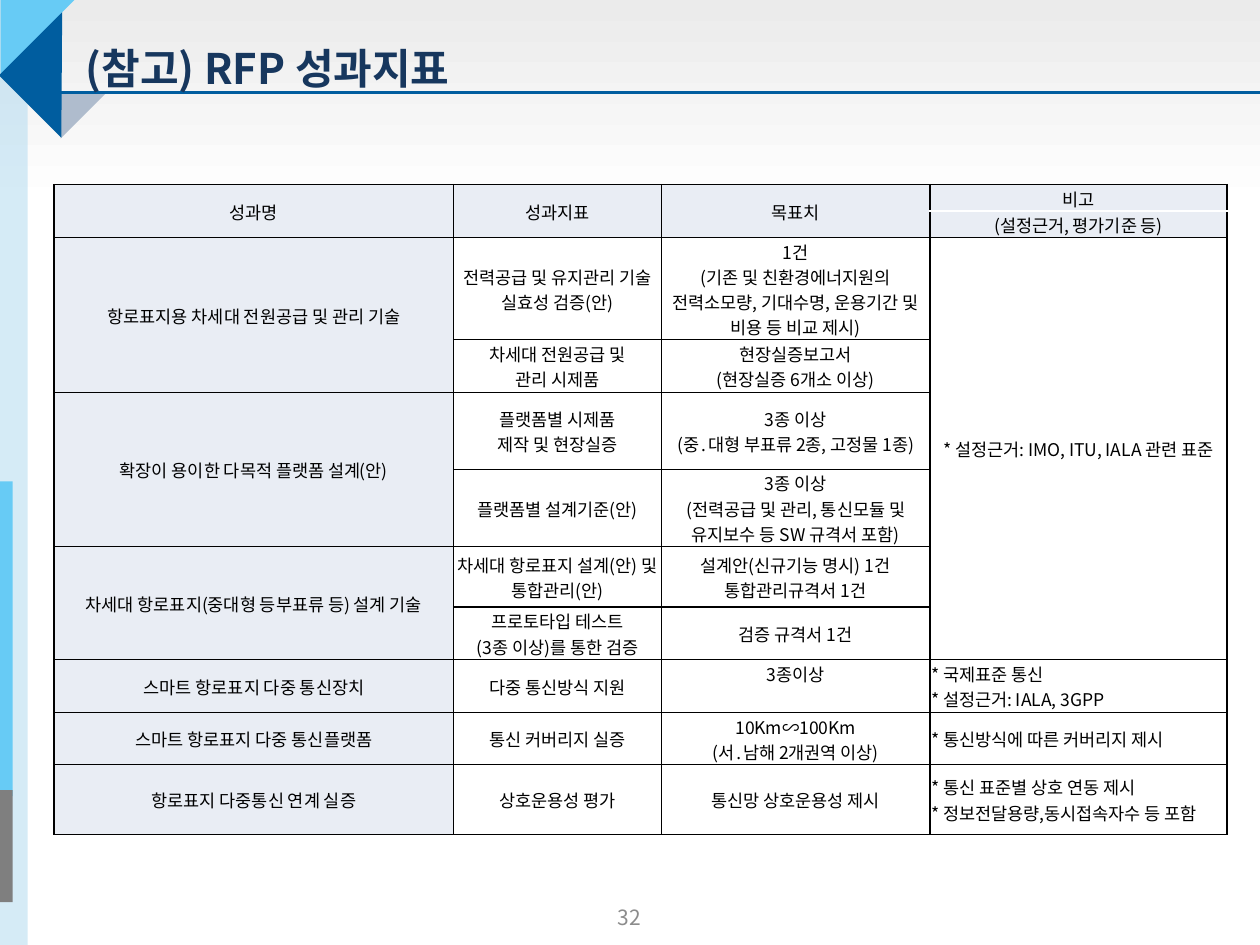
from pptx import Presentation
from pptx.dml.color import RGBColor
from pptx.enum.shapes import MSO_CONNECTOR as Link, MSO_SHAPE as Preset
from pptx.enum.text import MSO_ANCHOR as Anchor, MSO_AUTO_SIZE as Fit, PP_ALIGN as Align
from pptx.oxml.ns import qn
from pptx.util import Pt
from lxml.etree import SubElement

FONT = "Noto Sans CJK KR"
BLACK = RGBColor(0x00, 0x00, 0x00)
WHITE = RGBColor(0xFF, 0xFF, 0xFF)
HAZE = RGBColor(0xEB, 0xEB, 0xEB)
PALE = RGBColor(0xB9, 0xDE, 0xF1)
SKY = RGBColor(0x67, 0xCB, 0xF5)
BLUE = RGBColor(0x00, 0x5D, 0x9F)
NAVY = RGBColor(0x17, 0x37, 0x5E)
STEEL = RGBColor(0xAF, 0xBC, 0xCD)
GREY = RGBColor(0x7F, 0x7F, 0x7F)
NUMBER_GREY = RGBColor(0x8C, 0x8C, 0x8C)
LABEL_FILL = RGBColor(0xE9, 0xED, 0xF4)

TITLE = "(참고) RFP 성과지표"
PAGE_NUMBER = "32"
WIDTH, HEIGHT = 720, 540

DECORATIONS = [
    (Preset.RECTANGLE, (0, 0, 15.84, HEIGHT), 0, PALE, 60),
    (Preset.RECTANGLE, (-5.76, 275.04, 12.96, 180), 0, SKY, 100),
    (Preset.RECTANGLE, (-6.48, 451.44, 13.68, 64.08), 0, GREY, 100),
    (Preset.RIGHT_TRIANGLE, (34.56, 53.28, 25.92, 25.92), 90, STEEL, 100),
    (Preset.RIGHT_TRIANGLE, (0, 0, 43.2, 42.48), 90, SKY, 100),
    (Preset.RIGHT_TRIANGLE, (10.08, 17.28, 50.4, 51.12), 45, BLUE, 100),
]

TABLE_LEFT, TABLE_TOP = 30.96, 105.5
COLUMN_WIDTHS = [228.24, 118.8, 153.36, 169.92]
ROW_HEIGHTS = [15, 15, 46.8, 30.24, 30.24, 32.4, 34.56, 30.24, 30.24, 29.52, 40]
HEADER_ROWS = 2
TOP_ALIGNED = {(8, 2)}
ROWS = [
    ("성과명", "성과지표", "목표치", "비고"),
    (None, None, None, "(설정근거, 평가기준 등)"),
    ("항로표지용 차세대 전원공급 및 관리 기술",
     "전력공급 및 유지관리 기술 실효성 검증(안)",
     "1건\n(기존 및 친환경에너지원의 전력소모량, 기대수명, 운용기간 및 비용 등 비교 제시)",
     "* 설정근거: IMO, ITU, IALA 관련 표준"),
    (None, "차세대 전원공급 및\n관리 시제품", "현장실증보고서\n(현장실증 6개소 이상)", None),
    ("확장이 용이한 다목적 플랫폼 설계(안)", "플랫폼별 시제품\n제작 및 현장실증",
     "3종 이상\n(중․대형 부표류 2종, 고정물 1종)", None),
    (None, "플랫폼별 설계기준(안)",
     "3종 이상\n(전력공급 및 관리, 통신모듈 및 유지보수 등 SW 규격서 포함)", None),
    ("차세대 항로표지(중대형 등부표류 등) 설계 기술",
     "차세대 항로표지 설계(안) 및 통합관리(안)",
     "설계안(신규기능 명시) 1건\n통합관리규격서 1건", None),
    (None, "프로토타입 테스트\n(3종 이상)를 통한 검증", "검증 규격서 1건", None),
    ("스마트 항로표지 다중 통신장치", "다중 통신방식 지원", "3종이상",
     "* 국제표준 통신\n* 설정근거: IALA, 3GPP"),
    ("스마트 항로표지 다중 통신플랫폼", "통신 커버리지 실증",
     "10Km∽100Km\n(서․남해 2개권역 이상)", "* 통신방식에 따른 커버리지 제시"),
    ("항로표지 다중통신 연계 실증", "상호운용성 평가", "통신망 상호운용성 제시",
     "* 통신 표준별 상호 연동 제시\n* 정보전달용량,동시접속자수 등 포함"),
]


def apply(target, values):
    for name, value in values.items():
        setattr(target, name, value)


def write(frame, text, size, color, align, bold=False):
    for index, line in enumerate(text.split("\n")):
        para = frame.paragraphs[0] if index == 0 else frame.add_paragraph()
        para.alignment = align
        span = para.add_run()
        span.text = line
        apply(span.font, {"name": FONT, "size": Pt(size), "bold": bold})
        span.font.color.rgb = color
        SubElement(span.font._element, qn("a:ea"), typeface=FONT)


def add_backdrop(page):
    shape = page.shapes.add_shape(Preset.RECTANGLE, 0, 0, Pt(WIDTH), Pt(HEIGHT))
    shape.shadow.inherit = False
    shape.line.fill.background()
    shape.fill.gradient()
    shape.fill.gradient_angle = 270
    for stop, color, position in zip(shape.fill.gradient_stops, (HAZE, WHITE), (0, 0.22)):
        stop.color.rgb = color
        stop.position = position


def add_decorations(page):
    for preset, place, rotation, color, opacity in DECORATIONS:
        shape = page.shapes.add_shape(preset, *map(Pt, place))
        shape.rotation = rotation
        shape.shadow.inherit = False
        shape.line.fill.background()
        shape.fill.solid()
        shape.fill.fore_color.rgb = color
        if opacity < 100:
            tint = shape._element.spPr.find(qn("a:solidFill"))[0]
            SubElement(tint, qn("a:alpha"), val=str(opacity * 1000))
    rule = page.shapes.add_connector(Link.STRAIGHT, Pt(34.56), Pt(52.8), Pt(WIDTH), Pt(52.8))
    rule.line.color.rgb = BLUE
    rule.line.width = Pt(1.5)
    SubElement(rule._element.spPr, qn("a:effectLst"))


def set_borders(cell, colors):
    properties = cell._tc.get_or_add_tcPr()
    for side in "LRTB":
        edge = SubElement(properties, qn(f"a:ln{side}"), w=str(Pt(1)))
        fill = SubElement(edge, qn("a:solidFill"))
        SubElement(fill, qn("a:srgbClr"), val=str(colors.get(side, BLACK)))


def add_indicator_table(page):
    frame = page.shapes.add_table(
        len(ROWS), len(COLUMN_WIDTHS), Pt(TABLE_LEFT), Pt(TABLE_TOP),
        Pt(sum(COLUMN_WIDTHS)), Pt(sum(ROW_HEIGHTS)))
    table = frame.table
    apply(table, {"first_row": False, "horz_banding": False})
    for column, width in zip(table.columns, COLUMN_WIDTHS):
        column.width = Pt(width)
    for row, height in zip(table.rows, ROW_HEIGHTS):
        row.height = Pt(height)
    last = len(COLUMN_WIDTHS) - 1
    header_split = {(0, last): {"B": WHITE}, (1, last): {"T": WHITE}}

    for r, texts in enumerate(ROWS):
        for c, text in enumerate(texts):
            cell = table.cell(r, c)
            set_borders(cell, header_split.get((r, c), {}))
            if r < HEADER_ROWS or c == 0:
                cell.fill.solid()
                cell.fill.fore_color.rgb = LABEL_FILL
            else:
                cell.fill.background()
            apply(cell, {
                "margin_left": Pt(0.72), "margin_right": Pt(0.72),
                "margin_top": Pt(0.72), "margin_bottom": 0,
                "vertical_anchor": Anchor.TOP if (r, c) in TOP_ALIGNED else Anchor.MIDDLE,
            })
            if text is None:
                continue
            end = r
            while end + 1 < len(ROWS) and ROWS[end + 1][c] is None:
                end += 1
            if end > r:
                cell.merge(table.cell(end, c))
            is_note = c == last and r >= HEADER_ROWS and end == r
            write(cell.text_frame, text, 10, BLACK, Align.JUSTIFY if is_note else Align.CENTER)


def main():
    deck = Presentation()
    apply(deck, {"slide_width": Pt(WIDTH), "slide_height": Pt(HEIGHT)})
    page = deck.slides.add_slide(deck.slide_layouts[5])
    add_backdrop(page)
    add_decorations(page)

    title = page.shapes.title
    apply(title, {"left": Pt(41.76), "top": Pt(24.48), "width": Pt(635.76), "height": Pt(28.8)})
    number = page.shapes.add_textbox(Pt(275.76), Pt(516.96), Pt(167.76), Pt(13.68))
    for box in (title, number):
        apply(box.text_frame, {"word_wrap": True, "auto_size": Fit.NONE,
                               "vertical_anchor": Anchor.MIDDLE})
    write(title.text_frame, TITLE, 24, NAVY, Align.LEFT, bold=True)
    write(number.text_frame, PAGE_NUMBER, 12, NUMBER_GREY, Align.CENTER)
    page.shapes._spTree.append(title._element)

    add_indicator_table(page)
    deck.save("out.pptx")


if __name__ == "__main__":
    main()
